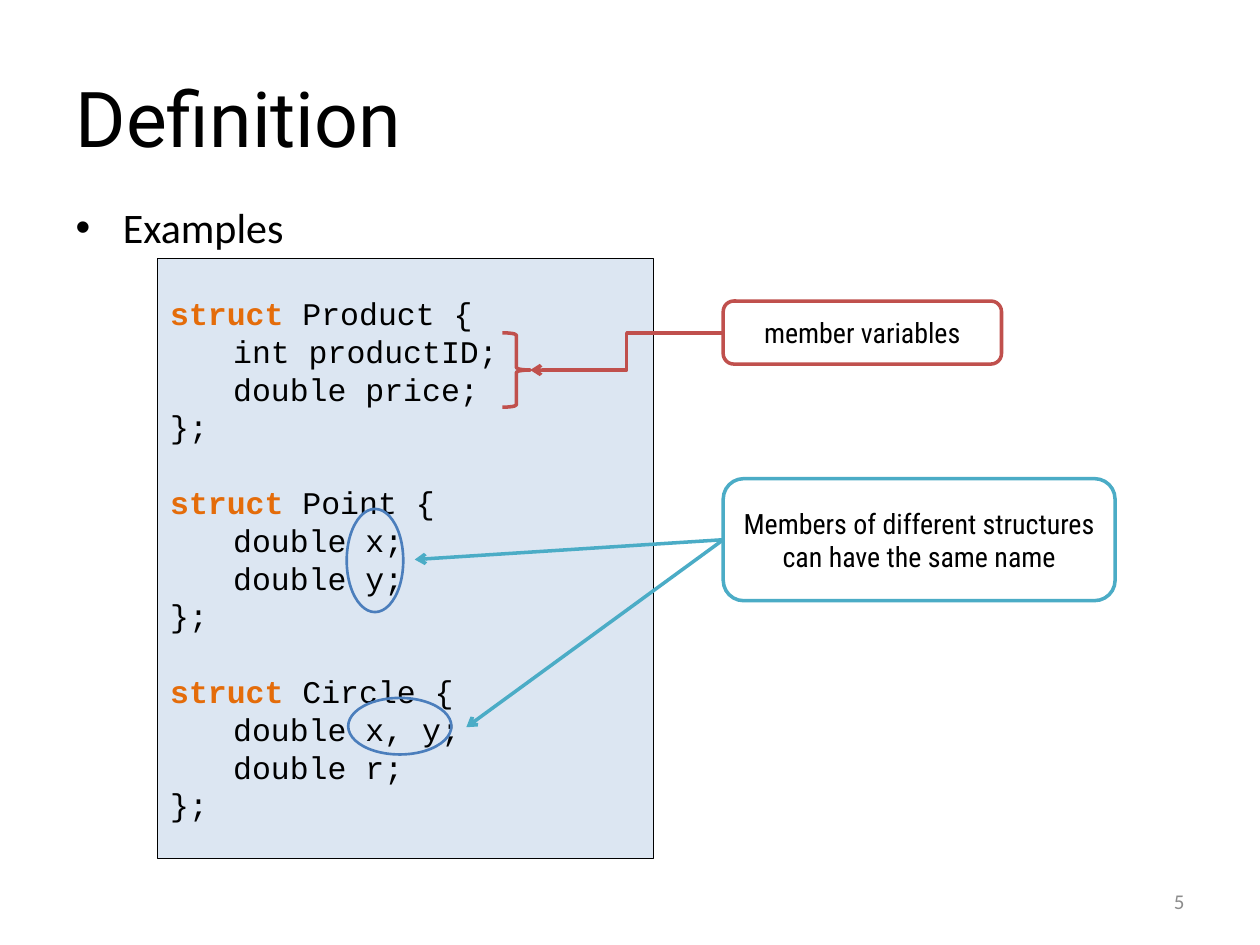
from pptx import Presentation
from pptx.dml.color import RGBColor
from pptx.enum.shapes import MSO_CONNECTOR, MSO_SHAPE
from pptx.enum.text import MSO_ANCHOR, PP_ALIGN
from pptx.oxml.ns import qn
from pptx.util import Cm, Pt
from lxml.etree import SubElement

BLACK, WHITE, RED, TEAL, BLUE = "000000", "FFFFFF", "C0504D", "4BACC6", "4B7EBC"
ORANGE, PALE, GREY = "E46C0A", "DCE6F2", "8C8C8C"
TITLE = dict(name="Roboto", size=Pt(44))
BODY = dict(name="Calibri", size=Pt(24))
NUMBER = dict(name="Calibri", size=Pt(12))
CODE = dict(name="Courier New", size=Pt(18))
KEYWORD = dict(CODE, bold=True)
LABEL = dict(name="Roboto Condensed", size=Pt(16))
LINE_PITCH = Pt(21.6)

STRUCTS = [
    ("Product", ["int productID;", "double price;"]),
    ("Point", ["double x;", "double y;"]),
    ("Circle", ["double x, y;", "double r;"]),
]


def rgb(color):
    return RGBColor.from_string(color)


def set_attrs(obj, values):
    for name, value in values.items():
        setattr(obj, name, value)


class Deck:
    def __init__(self):
        self.prs = Presentation()
        self.prs.slide_width, self.prs.slide_height = Cm(25.4), Cm(19.05)
        self.s = self.prs.slides.add_slide(self.prs.slide_layouts[1])

    def run(self, p, text, style, color=BLACK):
        r = p.add_run()
        r.text = text
        set_attrs(r.font, style)
        r.font.color.rgb = rgb(color)

    def placeholder(self, idx, box, text, style):
        sp = self.s.placeholders[idx]
        set_attrs(sp, dict(zip(("left", "top", "width", "height"), map(Cm, box))))
        p = sp.text_frame.paragraphs[0]
        set_attrs(p, dict(alignment=PP_ALIGN.LEFT, space_before=Pt(0)))
        self.run(p, text, style)

    def shape(self, kind, box, line, width, fill=None):
        sp = self.s.shapes.add_shape(kind, *map(Cm, box))
        sp.shadow.inherit = False
        if fill:
            sp.fill.solid()
            sp.fill.fore_color.rgb = rgb(fill)
        else:
            sp.fill.background()
        sp.line.color.rgb = rgb(line)
        sp.line.width = Pt(width)
        set_attrs(sp.text_frame, dict(word_wrap=True, vertical_anchor=MSO_ANCHOR.MIDDLE))
        return sp

    def callout(self, box, text, line):
        sp = self.shape(MSO_SHAPE.ROUNDED_RECTANGLE, box, line, 2, WHITE)
        p = sp.text_frame.paragraphs[0]
        p.alignment = PP_ALIGN.CENTER
        self.run(p, text, LABEL)
        return sp

    def code(self, box, structs):
        tf = self.shape(MSO_SHAPE.RECTANGLE, box, BLACK, 0.75, PALE).text_frame
        for i, (name, members) in enumerate(structs):
            p = self.code_line(tf, i == 0)
            if i:
                p.space_before = LINE_PITCH
            self.run(p, "struct ", KEYWORD, ORANGE)
            self.run(p, name + " {", CODE)
            for text in ["\t" + member for member in members] + ["};"]:
                self.run(self.code_line(tf), text, CODE)

    def code_line(self, tf, first=False):
        """Return a left-aligned paragraph with one tab stop for members."""
        p = tf.paragraphs[0] if first else tf.add_paragraph()
        tabs = SubElement(p._p.get_or_add_pPr(), qn("a:tabLst"))
        SubElement(tabs, qn("a:tab"), pos=str(Cm(1.27)), algn="l")
        set_attrs(p, dict(alignment=PP_ALIGN.LEFT, line_spacing=LINE_PITCH))
        return p

    def arrow(self, start, end, color, kind=MSO_CONNECTOR.STRAIGHT):
        cxn = self.s.shapes.add_connector(kind, *map(Cm, start + end))
        cxn.line.color.rgb = rgb(color)
        cxn.line.width = Pt(2)
        SubElement(cxn.line._get_or_add_ln(), qn("a:tailEnd"), type="arrow")
        SubElement(cxn._element.spPr, qn("a:effectLst"))
        return cxn

    def number(self, box, text):
        tf = self.s.shapes.add_textbox(*map(Cm, box)).text_frame
        set_attrs(tf, dict(word_wrap=True, vertical_anchor=MSO_ANCHOR.MIDDLE))
        p = tf.paragraphs[0]
        p.alignment = PP_ALIGN.RIGHT
        self.run(p, text, NUMBER, GREY)


def main():
    deck = Deck()
    deck.placeholder(0, (1.27, 0.76, 22.86, 3.18), "Definition", TITLE)
    deck.placeholder(1, (1.27, 3.94, 22.86, 13.08), "Examples", BODY)
    deck.number((18.21, 17.65, 5.92, 1.02), "5")
    deck.code((3.18, 5.21, 10, 12.1), STRUCTS)

    deck.shape(MSO_SHAPE.RIGHT_BRACE, (10.13, 6.71, 0.56, 1.5), RED, 2)
    deck.callout((14.58, 6.07, 5.61, 1.27), "member variables", RED)
    deck.arrow((14.58, 6.71), (10.69, 7.46), RED, MSO_CONNECTOR.ELBOW)

    names = deck.callout((14.58, 9.65, 7.9, 2.46),
                         "Members of different structures can have the same name", TEAL)
    for end in [(8.36, 11.28), (9.4, 14.66)]:
        deck.arrow((14.58, 10.88), end, TEAL).begin_connect(names, 1)
    for box in [(7.02, 14.07, 2.08, 1.14), (6.99, 10.26, 1.14, 2.08)]:
        deck.shape(MSO_SHAPE.OVAL, box, BLUE, 1.5)
    deck.prs.save("out.pptx")


if __name__ == "__main__":
    main()
